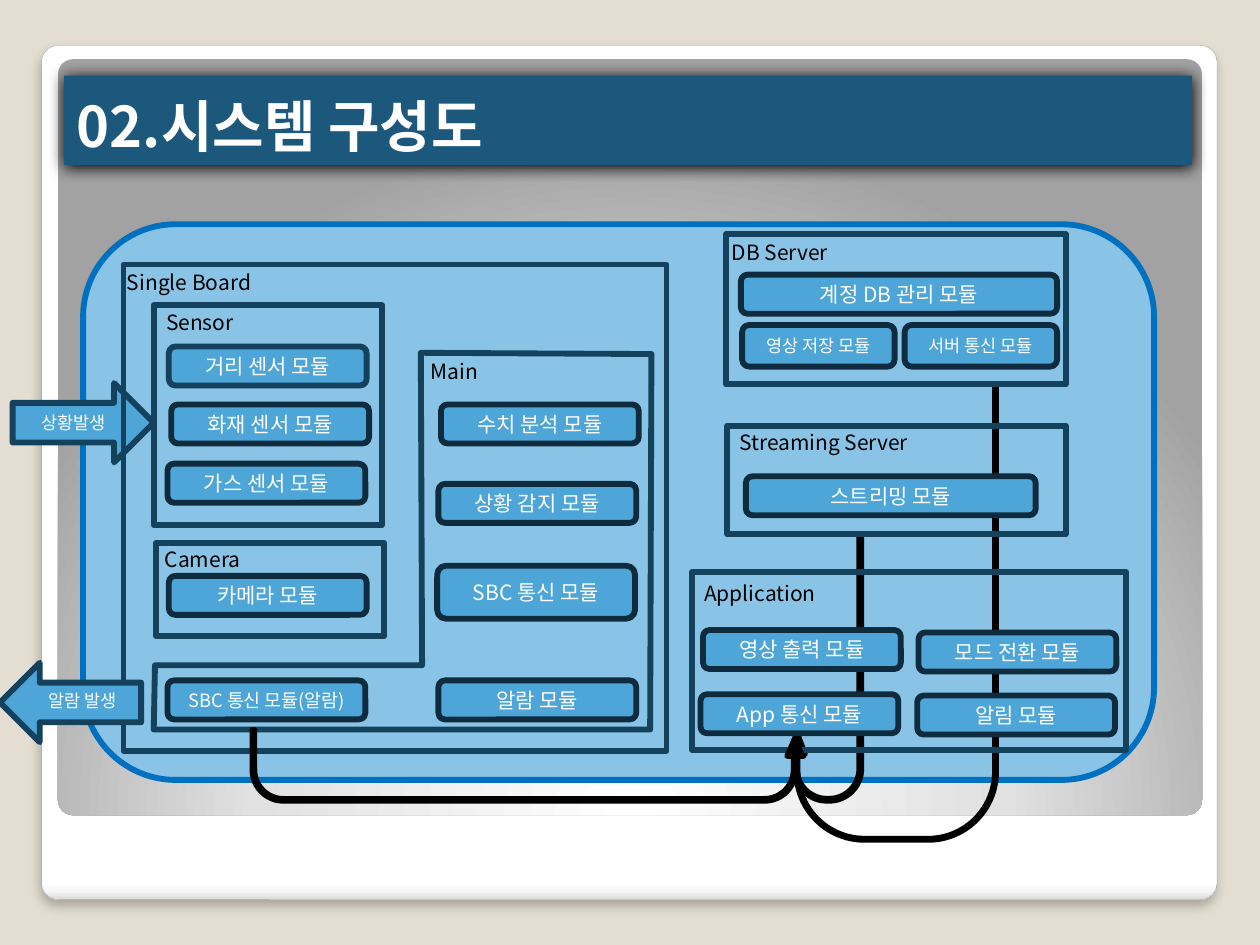
from dataclasses import dataclass

from lxml.etree import SubElement
from pptx import Presentation
from pptx.dml.color import RGBColor
from pptx.enum.shapes import MSO_SHAPE as Shape
from pptx.enum.text import MSO_ANCHOR as Anchor, PP_ALIGN as Align
from pptx.oxml import parse_xml
from pptx.oxml.ns import nsdecls, qn
from pptx.util import Inches, Pt


@dataclass(frozen=True)
class Theme:
    """Colours, type sizes and line widths of the slide."""
    font: str = "Noto Sans CJK KR"
    backdrop: str = "E3DED1"
    banner: str = "1B587C"
    system: str = "89C3E5"
    system_edge: str = "0070C0"
    module: str = "4EA5D8"
    module_edge: str = "0E2C3E"
    frame_edge: str = "14425D"
    card_edge: str = "A4A4A4"
    ink: str = "000000"
    light: str = "FFFFFF"
    title: float = 32
    body: float = 12
    compact: float = 10.5
    small: float = 10
    edge: float = 3.35
    flow_edge: float = 2.75
    hairline: float = 0.16
    card: tuple = ((0, "FFFFFF"), (98, "FFFFFF"), (99, "F7F7F7"), (100, "DADADA"))
    glow: tuple = ((0, "FFFFFF"), (55, "E1E1E1"), (100, "A2A2A2"))


THEME = Theme()
WIDTH, HEIGHT = Inches(10), Inches(7.5)
COLUMN, ROW = WIDTH / 100, HEIGHT / 75
MODULE_W, MODULE_H = 15.7, 3.1
LABEL_W, LABEL_H = 26, 3

FRAMES = [
    (9.8, 21, 43.1, 38.6), (12.2, 24.2, 18.1, 17.5), (12.4, 43.1, 18.1, 7.4),
    (57.7, 33.8, 26.9, 8.6), (54.9, 45.4, 34.5, 14.1), (57.6, 18.6, 27, 11.9),
]
MAIN_OUTLINE = [(33.4, 28), (51.7, 28.1), (51.6, 57.9), (12.2, 57.9), (12.3, 52.8), (33.5, 52.8)]
LABELS = [
    ("Single Board", 9.1, 20.9), ("Sensor", 12.2, 24.1), ("Camera", 12.1, 42.9),
    ("Main", 33.2, 28), ("Streaming Server", 57.7, 33.6),
    ("Application", 54.9, 45.6), ("DB Server", 57.1, 18.5),
]
MODULES = [
    ("화재 센서 모듈", 13.6, 32.1), ("가스 센서 모듈", 13.3, 36.8), ("카메라 모듈", 13.4, 45.7),
    ("수치 분석 모듈", 35, 32.1), ("상황 감지 모듈", 34.8, 38.4), ("알람 모듈", 34.8, 54),
    ("영상 출력 모듈", 55.8, 50), ("모드 전환 모듈", 72.9, 50.2),
    ("App 통신 모듈", 55.6, 55.1), ("알림 모듈", 72.8, 55.2),
]


def place(col, row, cols, rows):
    """Turn grid columns and rows into slide lengths."""
    return [round(n * unit) for n, unit in zip((col, row, cols, rows), (COLUMN, ROW) * 2)]


def colour(hex_code):
    """Return an RGB colour."""
    return RGBColor.from_string(hex_code)


def style(shape, fill=None, edge=None, weight=THEME.edge):
    """Give a shape a flat fill and outline without a shadow."""
    shape.shadow.inherit = False
    if fill:
        shape.fill.solid()
        shape.fill.fore_color.rgb = colour(fill)
    else:
        shape.fill.background()
    if edge:
        shape.line.color.rgb = colour(edge)
        shape.line.width = Pt(weight)
    else:
        shape.line.fill.background()
    return shape


def block(slide, kind, box, adjust=(), **look):
    """Add a styled preset shape on the grid."""
    shape = slide.shapes.add_shape(kind, *place(*box))
    for index, value in enumerate(adjust):
        shape.adjustments[index] = value
    return style(shape, **look)


def write(shape, text, size=THEME.body, ink=THEME.light, bold=False,
          align=Align.CENTER, anchor=Anchor.MIDDLE, inset=0.1):
    """Write one formatted paragraph into a shape."""
    frame = shape.text_frame
    frame.word_wrap = True
    frame.vertical_anchor = anchor
    frame.margin_left = frame.margin_right = Inches(inset)
    paragraph = frame.paragraphs[0]
    paragraph.alignment = align
    run = paragraph.add_run()
    run.text = text
    run.font.name = THEME.font
    run.font.size = Pt(size)
    run.font.bold = bold
    run.font.color.rgb = colour(ink)
    SubElement(run.font._element, qn("a:ea"), typeface=THEME.font)


def gradient(shape, stops, direction):
    """Replace the fill of a shape with a gradient."""
    listed = "".join(f'<a:gs pos="{share * 1000}"><a:srgbClr val="{tone}"/></a:gs>'
                     for share, tone in stops)
    properties = shape._element.spPr
    properties.replace(properties.find(qn("a:noFill")), parse_xml(
        f'<a:gradFill {nsdecls("a")} rotWithShape="1"><a:gsLst>{listed}</a:gsLst>{direction}</a:gradFill>'))


def drop_shadow(shape, opacity, blur, distance):
    """Cast a black shadow straight down."""
    shape._element.spPr.find(qn("a:effectLst")).append(parse_xml(
        f'<a:outerShdw {nsdecls("a")} blurRad="{Pt(blur)}" dist="{Pt(distance)}" dir="5400000" '
        f'algn="t" rotWithShape="0"><a:srgbClr val="{THEME.ink}">'
        f'<a:alpha val="{opacity * 1000}"/></a:srgbClr></a:outerShdw>'))


def label(slide, text, col, row, cols=LABEL_W, **words):
    """Add a left-aligned caption."""
    caption = slide.shapes.add_textbox(*place(col, row, cols, LABEL_H))
    write(caption, text, align=Align.LEFT, anchor=Anchor.TOP, **words)


def module(slide, text, col, row, cols=MODULE_W, rows=MODULE_H, edge=THEME.module_edge, **words):
    """Add a rounded software module."""
    tile = block(slide, Shape.ROUNDED_RECTANGLE, (col, row, cols, rows),
                 fill=THEME.module, edge=edge)
    write(tile, text, inset=0, **words)


def return_flow(slide, box, adjust, flips):
    """Add a U-turn arrow between two parts."""
    arrow = block(slide, Shape.U_TURN_ARROW, box, adjust, fill=THEME.ink,
                  edge=THEME.ink, weight=THEME.flow_edge)
    for flip in flips:
        arrow._element.spPr.find(qn("a:xfrm")).set(flip, "1")


def event_arrow(slide, col, row):
    """Add a block arrow for an event."""
    return block(slide, Shape.RIGHT_ARROW, (col, row, 11.2, 6.3),
                 fill=THEME.module, edge=THEME.frame_edge)


def main_outline(slide):
    """Draw the L-shaped boundary of the main part."""
    start, *corners = [place(*corner, 0, 0)[:2] for corner in MAIN_OUTLINE]
    builder = slide.shapes.build_freeform(*start)
    builder.add_line_segments(corners, close=True)
    style(builder.convert_to_shape(), edge=THEME.frame_edge)


def backdrop(slide):
    """Build the card, the panel and the title banner."""
    slide.background.fill.solid()
    slide.background.fill.fore_color.rgb = colour(THEME.backdrop)
    card = block(slide, Shape.ROUNDED_RECTANGLE, (3.3, 3.6, 93.3, 67.8), (0.02,),
                 edge=THEME.card_edge, weight=THEME.hairline)
    gradient(card, THEME.card, '<a:lin ang="5400000" scaled="0"/>')
    drop_shadow(card, 25, 6, 4)
    panel = block(slide, Shape.ROUNDED_RECTANGLE, (4.6, 4.7, 90.8, 60), (0.02,))
    gradient(panel, THEME.glow, '<a:path path="circle"><a:fillToRect l="50000" t="175000" '
                                'r="50000" b="-75000"/></a:path>')
    banner = block(slide, Shape.RECTANGLE, (5.1, 6, 89.5, 7.1), fill=THEME.banner)
    drop_shadow(banner, 100, 8.5, 1)
    write(banner, "02.시스템 구성도", size=THEME.title, bold=True,
          align=Align.LEFT, anchor=Anchor.BOTTOM)


def main():
    """Build the system structure slide."""
    deck = Presentation()
    deck.slide_width, deck.slide_height = WIDTH, HEIGHT
    slide = deck.slides.add_slide(deck.slide_layouts[6])
    backdrop(slide)
    block(slide, Shape.ROUNDED_RECTANGLE, (6.6, 17.8, 85, 44.1),
          fill=THEME.system, edge=THEME.system_edge)
    return_flow(slide, (62.6, 30.7, 16.5, 36), (0.01, 0.04, 0.11, 0.33, 0.24), ("flipH", "flipV"))
    return_flow(slide, (62.5, 42.6, 5.9, 21), (0.04, 0.11, 0.25, 0.44, 0.24), ("flipH", "flipV"))
    write(event_arrow(slide, 1, 30.4), "상황발생", size=THEME.small)
    for box in FRAMES:
        block(slide, Shape.RECTANGLE, box, edge=THEME.frame_edge)
    main_outline(slide)
    for text, col, row in LABELS:
        label(slide, text, col, row, ink=THEME.ink)
    for text, col, row in MODULES:
        module(slide, text, col, row)
    module(slide, "거리 센서 모듈", 13.4, 27.5, edge=THEME.frame_edge)
    module(slide, "SBC 통신 모듈", 34.7, 44.9, rows=4.2)
    module(slide, "SBC 통신 모듈(알람)", 13.3, 54, size=THEME.compact)
    module(slide, "스트리밍 모듈", 59.2, 37.8, cols=23)
    module(slide, "계정 DB 관리 모듈", 58.8, 21.8, cols=25.1)
    for text, col in (("영상 저장 모듈", 58.9), ("서버 통신 모듈", 71.8)):
        module(slide, text, col, 25.8, cols=12.1, rows=3.3, size=THEME.small)
    return_flow(slide, (20, 57.9, 43.7, 5.7), (0.04, 0.11, 0.25, 0.44, 0.88), ("flipV",))
    event_arrow(slide, 0, 52.6).rotation = 180
    label(slide, "알람 발생", 2.9, 54.3, cols=9, size=THEME.small)
    deck.save("out.pptx")


if __name__ == "__main__":
    main()
